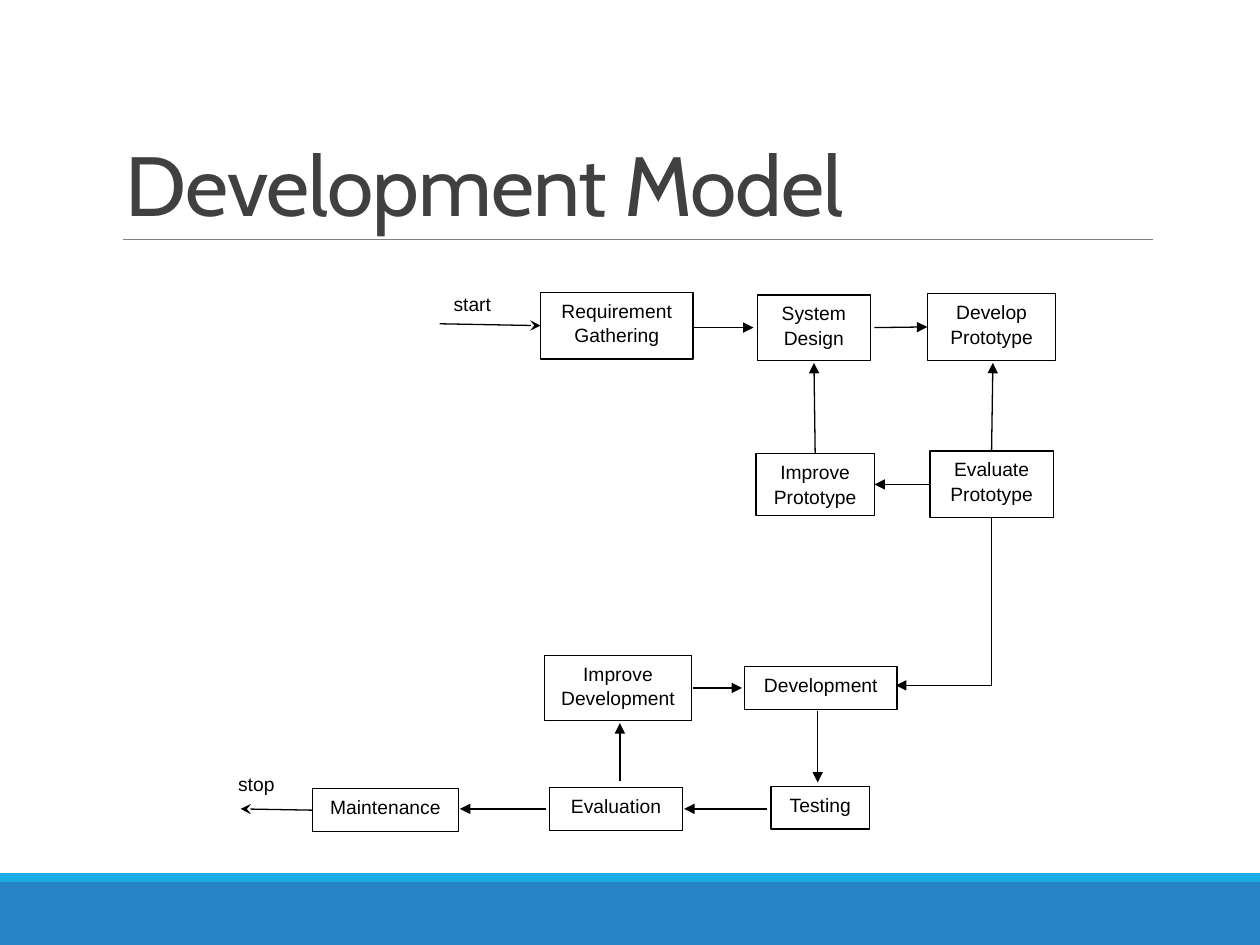
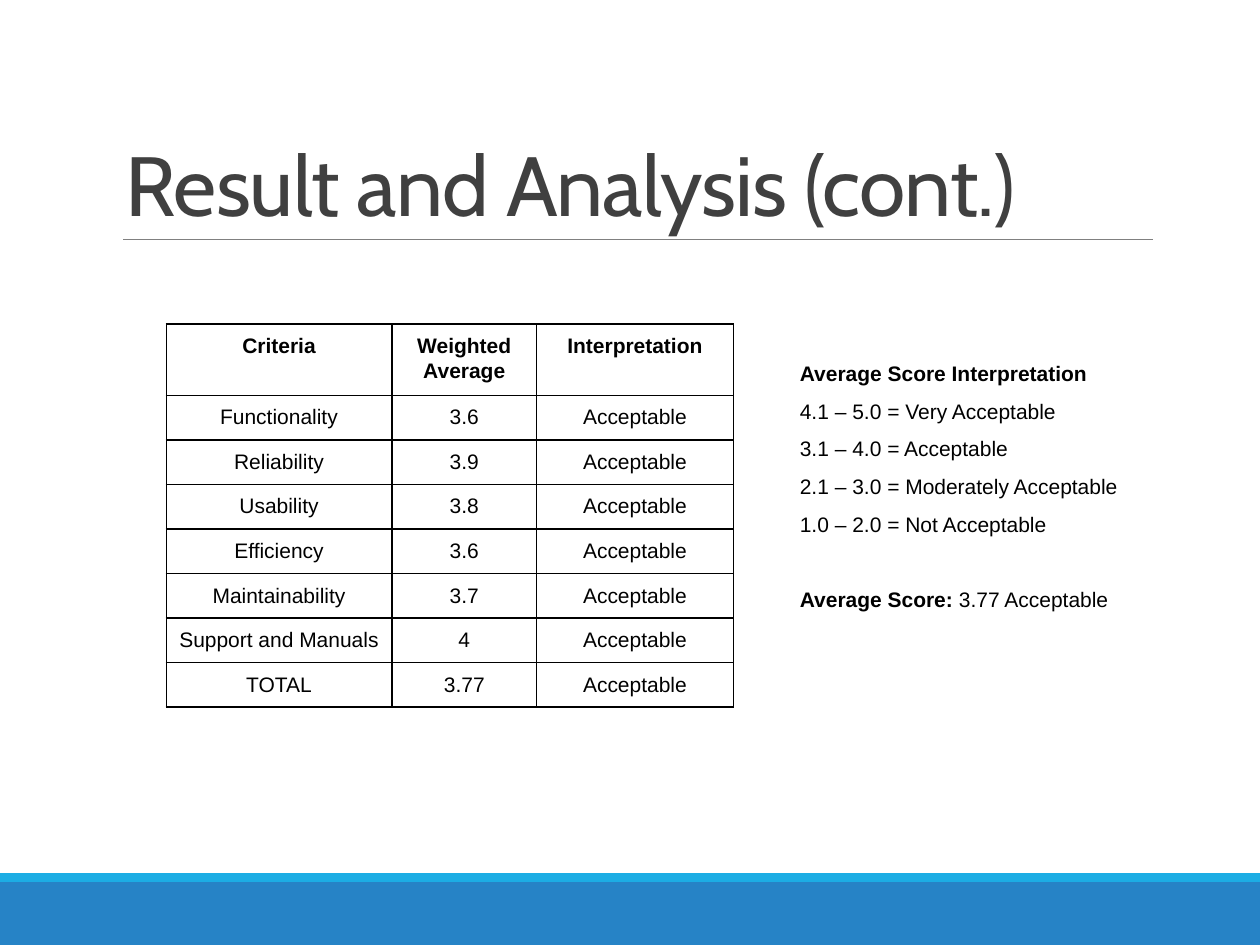
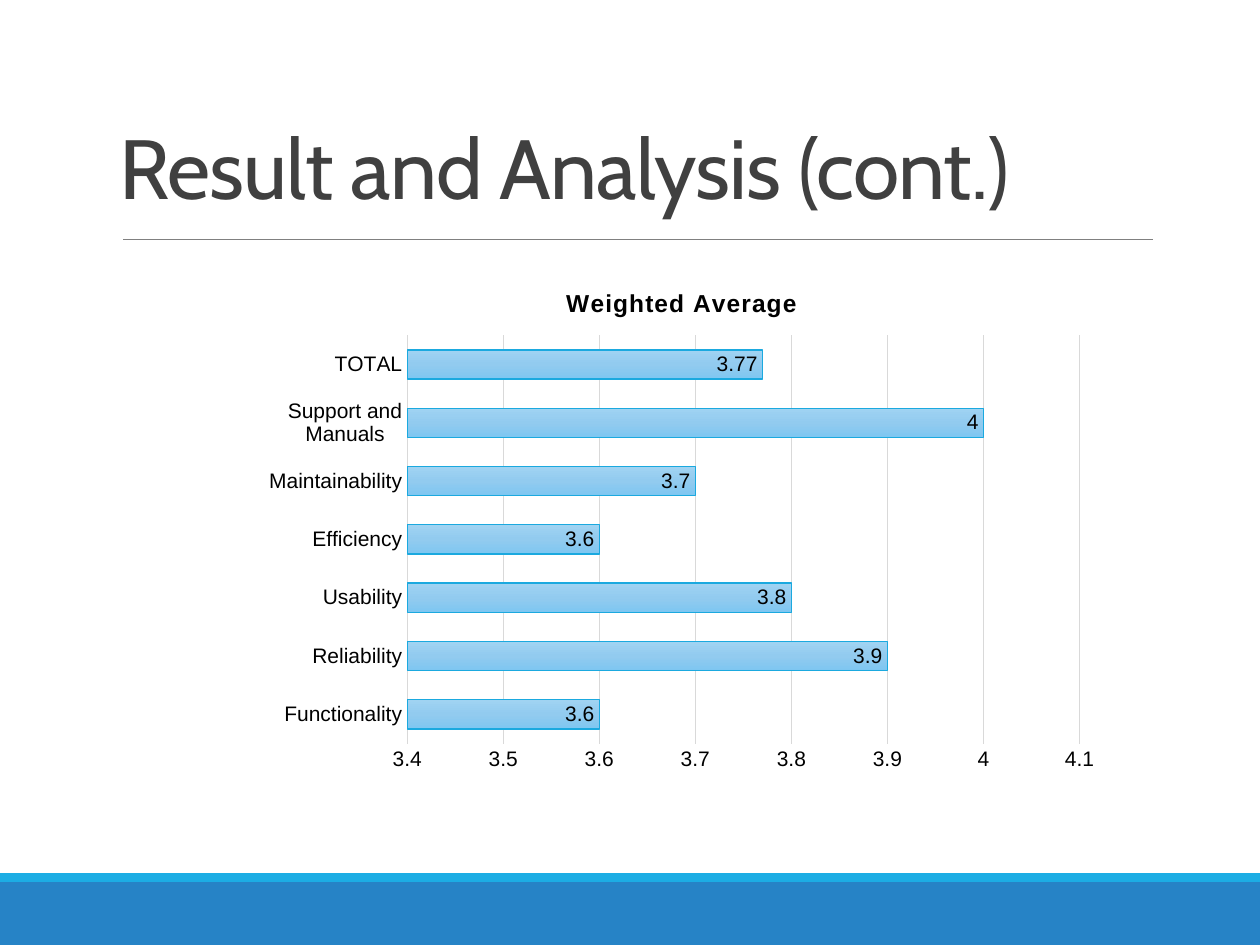
from copy import deepcopy

from lxml import etree
from pptx import Presentation
from pptx import util as u
from pptx.chart.data import CategoryChartData
from pptx.dml.color import RGBColor
from pptx.enum import chart as charts, shapes, text
from pptx.oxml.ns import qn

BLACK = RGBColor(0x00, 0x00, 0x00)
WHITE = RGBColor(0xFF, 0xFF, 0xFF)
TITLE_GREY = RGBColor(0x40, 0x40, 0x40)
RULE_GREY = RGBColor(0x80, 0x80, 0x80)
GRID_GREY = RGBColor(0xD9, 0xD9, 0xD9)
BAND_BLUE = RGBColor(0x26, 0x83, 0xC6)
STRIPE_BLUE = RGBColor(0x1C, 0xAD, 0xE4)
BAR_EDGE = RGBColor(0x1B, 0xA9, 0xDF)
BAR_STOPS = [
    (0, RGBColor(0xA0, 0xD3, 0xF2)),
    (0.5, RGBColor(0x92, 0xCB, 0xEF)),
    (1, RGBColor(0x7E, 0xC6, 0xF1)),
]

TITLE_FONT = {"name": "Cabin", "size": u.Pt(48), "bold": False}
STEP_FONT = {"name": "Arial", "size": u.Pt(11), "bold": False}
BODY_FONT = {"name": "Arial", "size": u.Pt(12), "bold": False}
BODY_BOLD = {**BODY_FONT, "bold": True}
CHART_TITLE_FONT = {"name": "Arial", "size": u.Pt(14), "bold": True}

TITLE_BOX = (0.9, 0.31, 8.25, 1.59)
TOP, LEFT, BOTTOM, RIGHT = range(4)

# Outlined steps of the process: left, top, width, height
STEPS = {
    "Requirement Gathering": (4.29, 2.32, 1.21, 0.53),
    "System Design": (6.01, 2.34, 0.9, 0.52),
    "Develop Prototype": (7.36, 2.33, 1.02, 0.53),
    "Evaluate Prototype": (7.38, 3.58, 0.98, 0.53),
    "Improve Prototype": (6, 3.6, 0.94, 0.49),
    "Development": (5.91, 5.29, 1.21, 0.34),
    "Improve Development": (4.32, 5.2, 1.17, 0.52),
    "Testing": (6.12, 6.24, 0.78, 0.34),
    "Evaluation": (4.36, 6.25, 1.06, 0.34),
    "Maintenance": (2.48, 6.26, 1.16, 0.34),
}
# Each end is a point or a step with the side to join
ARROWS = [
    ((3.49, 2.57), ("Requirement Gathering", LEFT), "stealth"),
    ((5.51, 2.6), (5.98, 2.6), "triangle"),
    ((6.94, 2.6), ("Develop Prototype", LEFT), "triangle"),
    (("Evaluate Prototype", TOP), (7.88, 2.88), "triangle"),
    (("Improve Prototype", TOP), (6.46, 2.88), "triangle"),
    (("Evaluate Prototype", LEFT), ("Improve Prototype", RIGHT), "triangle"),
    ((5.5, 5.46), (5.89, 5.46), "triangle"),
    ((4.92, 6.2), (4.92, 5.74), "triangle"),
    ((6.49, 5.64), (6.49, 6.21), "triangle"),
    ((6.09, 6.42), (5.43, 6.42), "triangle"),
    ((4.33, 6.42), (3.65, 6.42), "triangle"),
    (("Maintenance", LEFT), (1.91, 6.42), "stealth"),
]

SCORES = [
    ("Functionality", 3.6),
    ("Reliability", 3.9),
    ("Usability", 3.8),
    ("Efficiency", 3.6),
    ("Maintainability", 3.7),
    ("Support and Manuals", 4),
    ("TOTAL", 3.77),
]
SCALE = [
    "4.1 – 5.0 = Very Acceptable",
    "3.1 – 4.0 = Acceptable",
    "2.1 – 3.0 = Moderately Acceptable",
    "1.0 – 2.0 = Not Acceptable",
]


def inches(values):
    return [u.Inches(value) for value in values]


def set_format(target, values):
    for name, value in values.items():
        setattr(target, name, value)


def set_font(font, values, color=BLACK):
    set_format(font, values)
    font.color.rgb = color


def set_line(line, color, width):
    line.color.rgb = color
    line.width = u.Pt(width)


def add_span(para, words, font, color=BLACK):
    span = para.add_run()
    span.text = words
    set_font(span.font, font, color)
    return span


def add_box(page, box, fill, outline=None):
    shape = page.shapes.add_shape(shapes.MSO_SHAPE.RECTANGLE, *inches(box))
    shape.shadow.inherit = False
    shape.fill.solid()
    shape.fill.fore_color.rgb = fill
    if outline is None:
        shape.line.fill.background()
    else:
        set_line(shape.line, outline, 0.75)
    return shape


def add_line(page, start, end, color, width, kind=shapes.MSO_CONNECTOR.STRAIGHT):
    line = page.shapes.add_connector(kind, *inches((*start, *end)))
    set_line(line.line, color, width)
    etree.SubElement(line.element.spPr, qn("a:effectLst"))
    return line


def add_arrowhead(line, kind):
    outline = line.element.spPr.find(qn("a:ln"))
    etree.SubElement(outline, qn("a:tailEnd"), type=kind)


def add_page(deck, title, title_box=TITLE_BOX):
    """Add a slide with the shared bands, rule and title."""
    page = deck.slides.add_slide(deck.slide_layouts[6])
    add_box(page, (0, 7, 10, 0.5), BAND_BLUE)
    add_box(page, (0, 6.93, 10, 0.07), STRIPE_BLUE)
    add_line(page, (0.98, 1.9), (9.15, 1.9), RULE_GREY, 0.5)
    frame = page.shapes.add_textbox(*inches(title_box)).text_frame
    set_format(frame, {"word_wrap": True, "vertical_anchor": text.MSO_ANCHOR.BOTTOM})
    para = frame.paragraphs[0]
    para.line_spacing = 0.85
    span = add_span(para, title, TITLE_FONT, TITLE_GREY)
    span.font._element.set("spc", "-50")
    return page


def add_step(page, words, box, outline=BLACK, align=text.PP_ALIGN.CENTER):
    shape = add_box(page, box, WHITE, outline)
    frame = shape.text_frame
    set_format(frame, {
        "word_wrap": True,
        "vertical_anchor": text.MSO_ANCHOR.TOP,
        "margin_left": u.Inches(0.07),
        "margin_right": u.Inches(0.07),
        "margin_top": u.Inches(0.04),
        "margin_bottom": u.Inches(0.04),
    })
    para = frame.paragraphs[0]
    set_format(para, {"alignment": align, "line_spacing": 1.07, "space_after": u.Pt(6)})
    add_span(para, words, STEP_FONT)
    return shape


def add_arrow(page, steps, start, end, head):
    points = [(0, 0) if isinstance(place[0], str) else place for place in (start, end)]
    arrow = add_line(page, *points, BLACK, 0.75)
    for place, join in ((start, arrow.begin_connect), (end, arrow.end_connect)):
        if isinstance(place[0], str):
            name, side = place
            join(steps[name], side)
    add_arrowhead(arrow, head)


def add_down_left_arrow(page, start, end):
    """Draw a one-bend arrow as a right-then-down elbow turned by 90 degrees."""
    middle_x, middle_y = (start[0] + end[0]) / 2, (start[1] + end[1]) / 2
    half_drop, half_run = (end[1] - start[1]) / 2, (start[0] - end[0]) / 2
    arrow = add_line(
        page,
        (middle_x - half_drop, middle_y - half_run),
        (middle_x + half_drop, middle_y + half_run),
        BLACK, 0.75, shapes.MSO_CONNECTOR.ELBOW,
    )
    properties = arrow.element.spPr
    properties.find(qn("a:xfrm")).set("rot", "5400000")
    properties.find(qn("a:prstGeom")).set("prst", "bentConnector2")
    add_arrowhead(arrow, "triangle")


def add_model_page(deck):
    page = add_page(deck, "Development Model")
    add_step(page, "start", (3.53, 2.27, 0.56, 0.32), None, text.PP_ALIGN.LEFT)
    add_step(page, "stop", (1.67, 6.08, 0.73, 0.32), None)
    steps = {name: add_step(page, name, box) for name, box in STEPS.items()}
    for start, end, head in ARROWS:
        add_arrow(page, steps, start, end, head)
    add_down_left_arrow(page, (7.87, 4.11), (7.11, 5.44))


def set_borders(cell):
    properties = cell._tc.get_or_add_tcPr()
    for side in ("a:lnL", "a:lnR", "a:lnT", "a:lnB"):
        border = etree.SubElement(properties, qn(side), w=str(u.Pt(1)))
        fill = etree.SubElement(border, qn("a:solidFill"))
        etree.SubElement(fill, qn("a:srgbClr"), val=str(BLACK))


def add_score_table(page, left, top):
    rows = [("Criteria", "Weighted Average", "Interpretation")]
    rows += [(name, str(score), "Acceptable") for name, score in SCORES]
    widths = inches((1.79, 1.15, 1.56))
    heights = inches([0.54] + [0.34] * len(SCORES))
    table = page.shapes.add_table(
        len(rows), len(widths), u.Inches(left), u.Inches(top), sum(widths), sum(heights)
    ).table
    set_format(table, {"first_row": False, "horz_banding": False})
    for column, width in zip(table.columns, widths):
        column.width = width
    for index, (row, height) in enumerate(zip(table.rows, heights)):
        row.height = height
        for cell, words in zip(row.cells, rows[index]):
            for side in ("left", "right", "top", "bottom"):
                setattr(cell, f"margin_{side}", u.Inches(0.07))
            set_borders(cell)
            cell.fill.background()
            para = cell.text_frame.paragraphs[0]
            set_format(para, {"alignment": text.PP_ALIGN.CENTER, "line_spacing": 1.07})
            add_span(para, words, BODY_FONT if index else BODY_BOLD)


def add_scale_notes(page, box):
    frame = page.shapes.add_textbox(*inches(box)).text_frame
    frame.word_wrap = True
    lines = [[("Average Score Interpretation", BODY_BOLD)]]
    lines += [[(words, BODY_FONT)] for words in SCALE]
    lines.append([("Average Score: ", BODY_BOLD), ("3.77 Acceptable", BODY_FONT)])
    for index, spans in enumerate(lines):
        para = frame.add_paragraph() if index else frame.paragraphs[0]
        para.line_spacing = 1.5
        para._p.get_or_add_pPr().set("marL", str(u.Inches(0.5)))
        for words, font in spans:
            add_span(para, words, font)
    para.space_before = u.Pt(21.5)


def add_table_page(deck):
    page = add_page(deck, "Result and Analysis (cont.)")
    add_score_table(page, 1.32, 2.57)
    add_scale_notes(page, (5.75, 2.71, 5, 2.22))


def style_bars(series):
    fill = series.format.fill
    fill.gradient()
    fill.gradient_angle = 270
    stop_list = next(series._element.iter(qn("a:gsLst")))
    stop_list.insert(1, deepcopy(stop_list[0]))
    for stop, (position, color) in zip(fill.gradient_stops, BAR_STOPS):
        stop.position = position
        stop.color.rgb = color
    set_line(series.format.line, BAR_EDGE, 0.75)


def style_axes(chart):
    for axis in (chart.category_axis, chart.value_axis):
        set_format(axis, {
            "major_tick_mark": charts.XL_TICK_MARK.NONE,
            "minor_tick_mark": charts.XL_TICK_MARK.NONE,
        })
        set_font(axis.tick_labels.font, BODY_FONT)
    set_line(chart.category_axis.format.line, GRID_GREY, 0.75)
    values = chart.value_axis
    set_format(values, {"minimum_scale": 3.4, "maximum_scale": 4.1, "major_unit": 0.1})
    set_format(values.tick_labels, {"number_format": "General", "number_format_is_linked": False})
    values.format.line.fill.background()
    set_line(values.major_gridlines.format.line, GRID_GREY, 0.75)


def add_score_chart(page, box):
    title = "Weighted Average"
    names, scores = zip(*SCORES)
    data = CategoryChartData()
    data.categories = names
    data.add_series(title, scores)
    chart = page.shapes.add_chart(
        charts.XL_CHART_TYPE.BAR_CLUSTERED, *inches(box), data
    ).chart
    chart.has_legend = False
    set_font(chart.font, BODY_FONT)
    span = add_span(chart.chart_title.text_frame.paragraphs[0], title, CHART_TITLE_FONT)
    span.font._element.set("spc", "50")
    chart.chart_title.include_in_layout = False
    style_axes(chart)
    plot = chart.plots[0]
    set_format(plot, {"gap_width": 100, "vary_by_categories": False, "has_data_labels": True})
    set_format(plot.data_labels, {
        "show_value": True,
        "position": charts.XL_LABEL_POSITION.INSIDE_END,
        "number_format": "General",
        "number_format_is_linked": False,
    })
    set_font(plot.data_labels.font, BODY_FONT)
    style_bars(plot.series[0])


def add_chart_page(deck):
    page = add_page(deck, "Result and Analysis (cont.)", (0.85, 0.18, 8.25, 1.59))
    add_score_chart(page, (2, 2.11, 6.82, 4.09))


def main():
    deck = Presentation()
    set_format(deck, {"slide_width": u.Inches(10), "slide_height": u.Inches(7.5)})
    add_model_page(deck)
    add_table_page(deck)
    add_chart_page(deck)
    deck.save("out.pptx")


if __name__ == "__main__":
    main()
